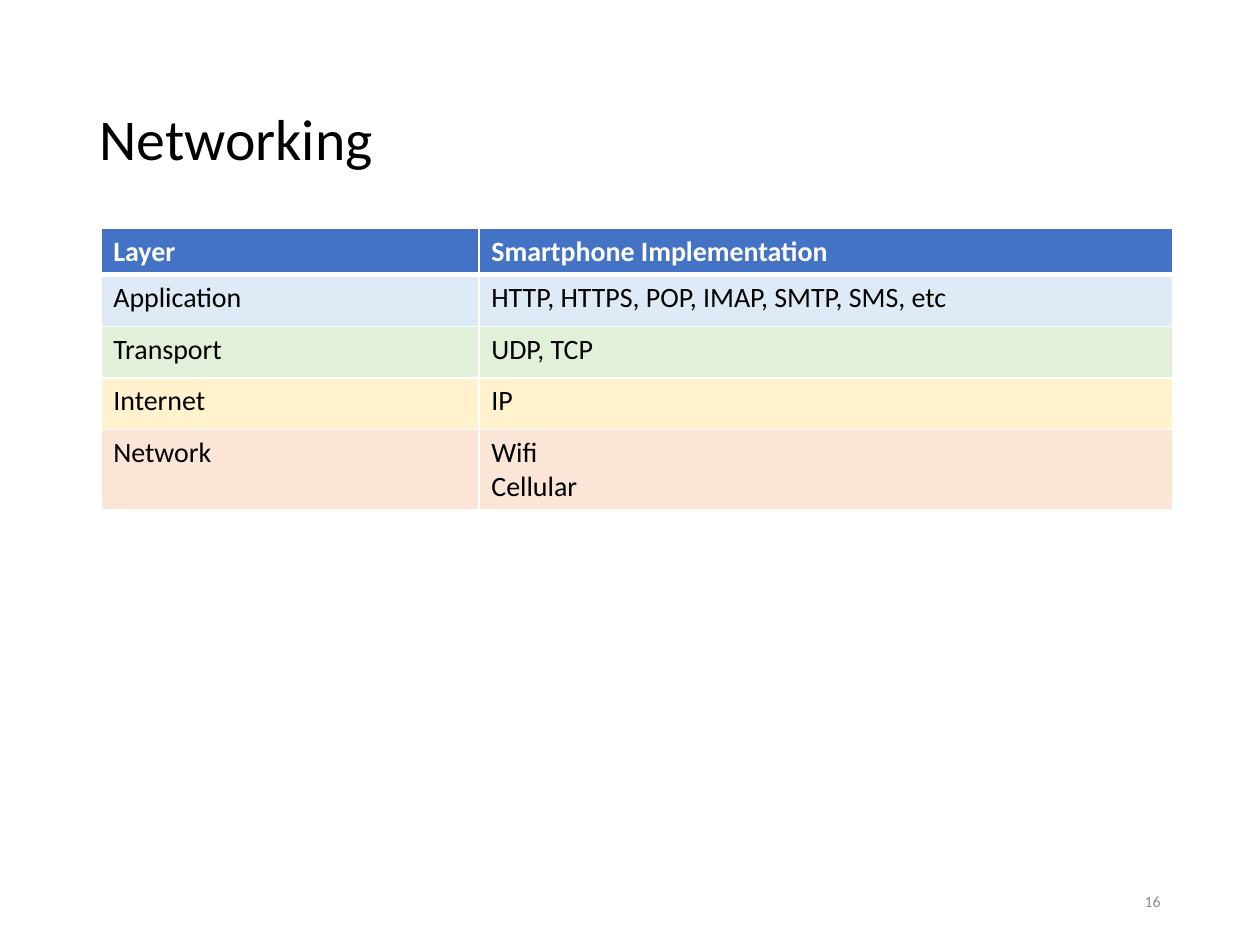
import pptx
import pptx.dml.color
import pptx.enum.text
import pptx.oxml
import pptx.oxml.ns
import pptx.util
from pptx.util import Inches

COLORS = {
    "text": "000000",
    "light": "FFFFFF",
    "number": "8C8C8C",
    "header": "4472C4",
    "application": "DEEBF7",
    "transport": "E2F0D9",
    "internet": "FFF2CC",
    "network": "FBE5D6",
}

LAYERS = [
    ("header", "Layer", "Smartphone Implementation"),
    ("application", "Application", "HTTP, HTTPS, POP, IMAP, SMTP, SMS, etc"),
    ("transport", "Transport", "UDP, TCP"),
    ("internet", "Internet", "IP"),
    ("network", "Network", "Wifi\nCellular"),
]
COLUMN_WIDTHS = (3, 5.51)
ROW_HEIGHTS = (0.37, 0.41, 0.41, 0.41, 0.64)


def rgb(name):
    return pptx.dml.color.RGBColor.from_string(COLORS[name])


def write_text(frame, text, size, color="text", bold=False, align="LEFT", line_spacing=None):
    """Fill a text frame, one paragraph for each line of text."""
    frame.word_wrap = True
    frame.text = text
    for paragraph in frame.paragraphs:
        paragraph.alignment = getattr(pptx.enum.text.PP_ALIGN, align)
        paragraph.line_spacing = line_spacing
        for run in paragraph.runs:
            run.font.name = "Calibri"
            run.font.size = pptx.util.Pt(size)
            run.font.bold = bold
            run.font.color.rgb = rgb(color)


def set_borders(cell, **widths):
    """Draw light borders; widths in points are keyed L, R, T, B in schema order."""
    properties = cell._tc.get_or_add_tcPr()
    for side, width in widths.items():
        properties.append(pptx.oxml.parse_xml(
            f'<a:ln{side} {pptx.oxml.ns.nsdecls("a")} w="{pptx.util.Pt(width)}">'
            f'<a:solidFill><a:srgbClr val="{COLORS["light"]}"/></a:solidFill>'
            f'</a:ln{side}>'))


def add_title(slide, text):
    title = slide.shapes.title
    title.left, title.top = Inches(0.69), Inches(0.4)
    title.width, title.height = Inches(8.62), Inches(1.45)
    write_text(title.text_frame, text, 33, line_spacing=0.9)
    title.text_frame.vertical_anchor = pptx.enum.text.MSO_ANCHOR.MIDDLE


def add_slide_number(slide, number):
    box = slide.shapes.add_textbox(Inches(7.06), Inches(6.95), Inches(2.25), Inches(0.4))
    write_text(box.text_frame, number, 9, color="number", align="RIGHT")
    box.text_frame.vertical_anchor = pptx.enum.text.MSO_ANCHOR.MIDDLE


def add_layer_table(slide):
    table = slide.shapes.add_table(
        len(LAYERS), len(COLUMN_WIDTHS), Inches(0.8), Inches(1.81),
        Inches(sum(COLUMN_WIDTHS)), Inches(sum(ROW_HEIGHTS))).table
    table.horz_banding = False
    for column, width in zip(table.columns, COLUMN_WIDTHS):
        column.width = Inches(width)
    for row, height, (layer, *texts) in zip(table.rows, ROW_HEIGHTS, LAYERS):
        row.height = Inches(height)
        is_header = layer == "header"
        top = 3 if layer == "application" else 1
        bottom = 3 if is_header else 1
        for cell, text in zip(row.cells, texts):
            set_borders(cell, L=1, R=1, T=top, B=bottom)
            cell.fill.solid()
            cell.fill.fore_color.rgb = rgb(layer)
            write_text(cell.text_frame, text, 16, bold=is_header,
                       color="light" if is_header else "text")


def main():
    deck = pptx.Presentation()
    deck.slide_width, deck.slide_height = Inches(10), Inches(7.5)
    slide = deck.slides.add_slide(deck.slide_layouts[5])
    add_title(slide, "Networking")
    add_slide_number(slide, "16")
    add_layer_table(slide)
    deck.save("out.pptx")


if __name__ == "__main__":
    main()
